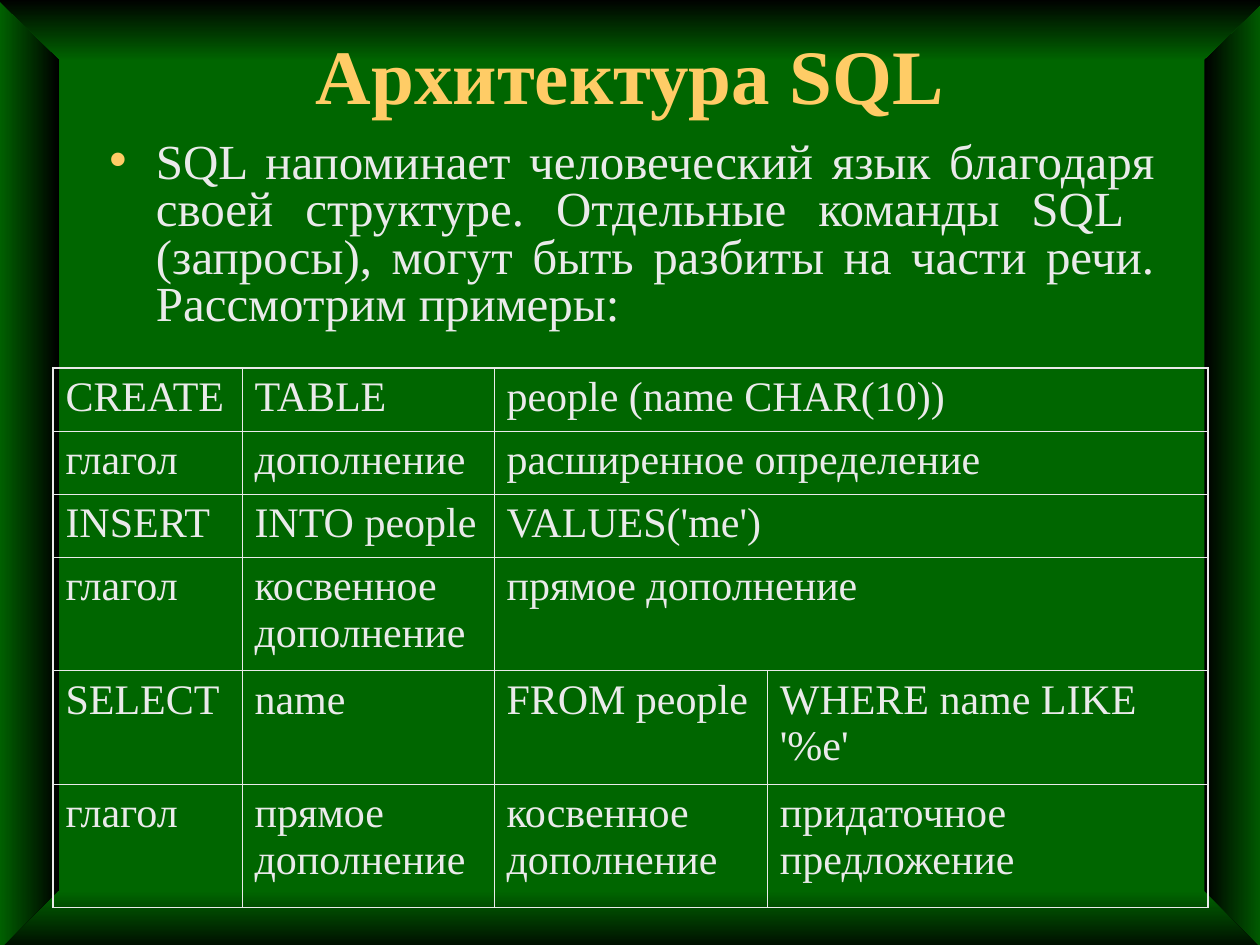
from dataclasses import dataclass

from lxml.etree import SubElement
from pptx import Presentation
from pptx.dml.color import RGBColor as Rgb
from pptx.enum.text import MSO_ANCHOR as Anchor, PP_ALIGN as Align
from pptx.oxml.ns import qn
from pptx.util import Inches, Pt

FONT = "Times New Roman"
COLORS = {"green": "006600", "black": "000000", "gold": "FFCC66", "text": "EAEAEA"}
THIN, THICK = 0.45, 1.08

COLS = [1.5, 2, 2.17, 3.5]
ROWS = [0.5, 0.5, 0.5, 0.9, 0.9, 0.98]
# A row with three texts stretches the last one over two columns
CELLS = [
    ["CREATE", "TABLE", "people (name CHAR(10))"],
    ["глагол", "дополнение", "расширенное определение"],
    ["INSERT", "INTO people", "VALUES('me')"],
    ["глагол", "косвенное дополнение", "прямое дополнение"],
    ["SELECT", "name", "FROM people", "WHERE name LIKE '%e'"],
    ["глагол", "прямое дополнение", "косвенное дополнение", "придаточное предложение"],
]


@dataclass
class Bevel:
    """A frame edge whose colour runs from start to end along the angle."""
    points: list[tuple[float, float]]
    start: str
    end: str
    angle: int


@dataclass
class Label:
    box: tuple[float, float, float, float]
    text: str
    size: int
    color: str
    align: Align
    anchor: Anchor = Anchor.TOP
    bold: bool = False


def side(left: float) -> list[tuple[float, float]]:
    right = left + 0.5
    return [(left, -0.01), (right, -0.01), (right, 7.57), (left, 7.57)]


BEVELS = [
    Bevel(side(9.56), "black", "green", 0),
    Bevel(side(-0.03), "green", "black", 0),
    Bevel([(-0.02, -0.01), (10.05, -0.01), (9.54, 0.49), (0.49, 0.49)],
          "green", "black", 90),
    Bevel([(-0.04, 7.58), (10.06, 7.58), (9.55, 7.07), (0.47, 7.07)],
          "black", "green", 90),
]

TITLE = Label((0.75, 0.17, 8.5, 0.83), "Архитектура SQL", 44, "gold",
              Align.CENTER, Anchor.MIDDLE, True)
BODY = Label((0.76, 1.08, 8.5, 1.75),
             "SQL напоминает человеческий язык благодаря своей структуре. "
             "Отдельные команды SQL  (запросы), могут быть разбиты на части речи. "
             "Рассмотрим примеры:", 28, "text", Align.JUSTIFY)


def rgb(name: str) -> Rgb:
    return Rgb.from_string(COLORS[name])


def style(para, size: int, color: str, bold: bool = False) -> None:
    for run in para.runs:
        font = run.font
        font.name, font.size, font.bold = FONT, Pt(size), bold
        font.color.rgb = rgb(color)


def add_bevel(slide, bevel: Bevel) -> None:
    points = [(Inches(x), Inches(y)) for x, y in bevel.points]
    pen = slide.shapes.build_freeform(*points[0])
    pen.add_line_segments(points[1:], close=True)
    shape = pen.convert_to_shape()
    shape.shadow.inherit = False
    shape.line.fill.background()
    fill = shape.fill
    fill.gradient()
    fill.gradient_angle = bevel.angle
    for stop, name, place in zip(fill.gradient_stops, (bevel.start, bevel.end), (0, 1)):
        stop.color.rgb = rgb(name)
        stop.position = place


def add_label(slide, label: Label):
    box = slide.shapes.add_textbox(*map(Inches, label.box))
    frame = box.text_frame
    frame.word_wrap = True
    frame.vertical_anchor = label.anchor
    frame.text = label.text
    para = frame.paragraphs[0]
    para.alignment = label.align
    style(para, label.size, label.color, label.bold)
    return para


def add_bullet(para) -> None:
    para.line_spacing = 0.8
    para.space_before = Pt(7)
    props = para._p.get_or_add_pPr()
    props.set("marL", str(Inches(0.38)))
    props.set("indent", str(Inches(-0.38)))
    tint = SubElement(props, qn("a:buClr"))
    SubElement(tint, qn("a:srgbClr"), val=COLORS["gold"])
    SubElement(props, qn("a:buSzPct"), val="115000")
    SubElement(props, qn("a:buFont"), typeface=FONT)
    SubElement(props, qn("a:buChar"), char="•")


def add_edge(cell, edge: str, width: float) -> None:
    props = cell._tc.get_or_add_tcPr()
    line = SubElement(props, qn(f"a:ln{edge}"), w=str(Pt(width)))
    fill = SubElement(line, qn("a:solidFill"))
    SubElement(fill, qn("a:srgbClr"), val=COLORS["text"])


def add_grid(slide) -> None:
    frame = slide.shapes.add_table(len(ROWS), len(COLS), Inches(0.42), Inches(2.92),
                                   Inches(sum(COLS)), Inches(sum(ROWS)))
    table = frame.table
    table.first_row = table.horz_banding = False
    for col, width in zip(table.columns, COLS):
        col.width = Inches(width)
    for row, height in zip(table.rows, ROWS):
        row.height = Inches(height)

    for r, texts in enumerate(CELLS):
        last = len(texts) - 1
        if last < len(COLS) - 1:
            table.cell(r, last).merge(table.cell(r, len(COLS) - 1))
        for c, text in enumerate(texts):
            cell = table.cell(r, c)
            cell.text_frame.text = text
            para = cell.text_frame.paragraphs[0]
            para.space_before = Pt(6)
            style(para, 24, "text")
            outer = {"L": c == 0, "R": c == last, "T": r == 0, "B": r == len(ROWS) - 1}
            for edge, thick in outer.items():
                add_edge(cell, edge, THICK if thick else THIN)
        for c in range(len(COLS)):
            table.cell(r, c).fill.background()


def main() -> None:
    deck = Presentation()
    deck.slide_width, deck.slide_height = Inches(10), Inches(7.5)
    slide = deck.slides.add_slide(deck.slide_layouts[6])

    # Background and bevelled frame
    back = slide.background.fill
    back.solid()
    back.fore_color.rgb = rgb("green")
    for bevel in BEVELS:
        add_bevel(slide, bevel)

    # Title, bullet and table of examples
    add_label(slide, TITLE)
    add_bullet(add_label(slide, BODY))
    add_grid(slide)

    deck.save("out.pptx")


if __name__ == "__main__":
    main()
